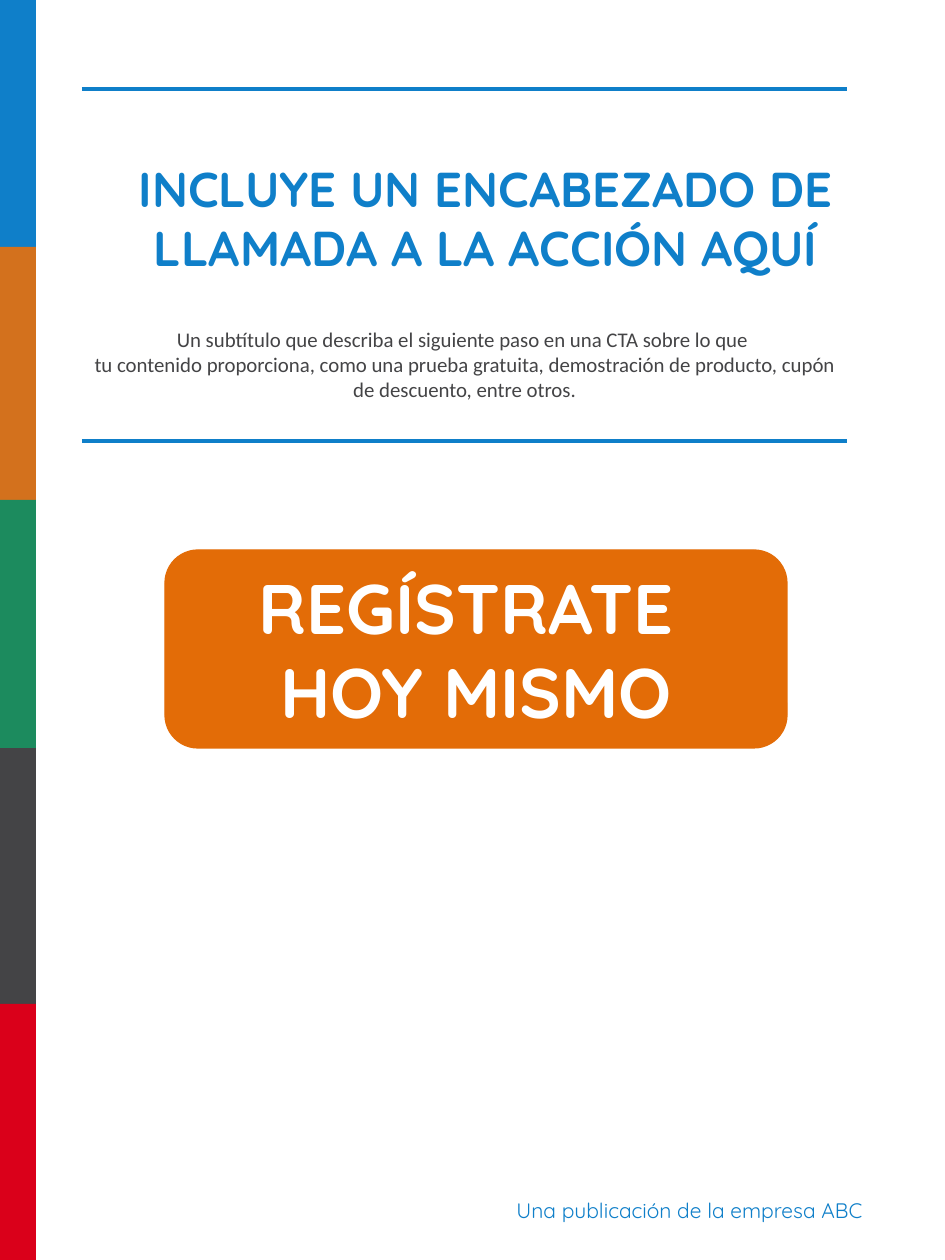
from dataclasses import dataclass
from itertools import pairwise

from lxml.etree import SubElement
from pptx import Presentation
from pptx.dml.color import RGBColor
from pptx.enum.shapes import MSO_CONNECTOR as Connector
from pptx.enum.shapes import MSO_SHAPE as Preset
from pptx.enum.text import MSO_ANCHOR as Anchor
from pptx.enum.text import MSO_AUTO_SIZE as AutoSize
from pptx.enum.text import PP_ALIGN as Align
from pptx.oxml.ns import qn
from pptx.shapes.autoshape import Shape
from pptx.slide import Slide
from pptx.util import Emu, Inches, Pt

PX_PER_INCH = 126
BLUE = "0F7FC9"
ORANGE = "E36C07"
GRAY = "444446"
WHITE = "FFFFFF"

STRIP_WIDTH = 36
STRIP_EDGES = (0, 247, 500, 748, 1004, 1260)
STRIP_COLORS = (BLUE, "D3711D", "1C8B5E", GRAY, "DA001A")
RULE_LEFT, RULE_RIGHT = 82, 847
RULE_TOPS = (89, 441)


@dataclass(frozen=True)
class Box:
    left: int
    top: int
    width: int
    height: int


@dataclass(frozen=True)
class Copy:
    lines: tuple[str, ...]
    size: float
    font: str
    color: str
    bold: bool = False
    align: Align = Align.CENTER
    anchor: Anchor = Anchor.MIDDLE
    wrap: bool = True


def px(length: int) -> Emu:
    return Emu(round(length * Inches(1) / PX_PER_INCH))


def rgb(color: str) -> RGBColor:
    return RGBColor.from_string(color)


def place(box: Box) -> tuple[Emu, Emu, Emu, Emu]:
    return px(box.left), px(box.top), px(box.width), px(box.height)


def write(shape: Shape, copy: Copy) -> None:
    frame = shape.text_frame
    frame.word_wrap = copy.wrap
    frame.auto_size = AutoSize.NONE if copy.wrap else AutoSize.SHAPE_TO_FIT_TEXT
    frame.vertical_anchor = copy.anchor
    paragraph = frame.paragraphs[0]
    paragraph.alignment = copy.align
    for index, line in enumerate(copy.lines):
        if index:
            paragraph.add_line_break()
        run = paragraph.add_run()
        run.text = line
        run.font.size = Pt(copy.size)
        run.font.name = copy.font
        run.font.bold = copy.bold
        run.font.color.rgb = rgb(copy.color)


def add_block(slide: Slide, preset: Preset, box: Box, color: str) -> Shape:
    block = slide.shapes.add_shape(preset, *place(box))
    block.shadow.inherit = False
    block.fill.solid()
    block.fill.fore_color.rgb = rgb(color)
    block.line.fill.background()
    return block


def add_rule(slide: Slide, top: int) -> None:
    rule = slide.shapes.add_connector(
        Connector.STRAIGHT, px(RULE_LEFT), px(top), px(RULE_RIGHT), px(top)
    )
    rule.line.color.rgb = rgb(BLUE)
    rule.line.width = Pt(2)
    SubElement(rule.element.spPr, qn("a:effectLst"))


def add_copy(slide: Slide, box: Box, copy: Copy) -> None:
    write(slide.shapes.add_textbox(*place(box)), copy)


def main() -> None:
    presentation = Presentation()
    presentation.slide_width = px(945)
    presentation.slide_height = px(1260)
    slide = presentation.slides.add_slide(presentation.slide_layouts[5])

    for (top, bottom), color in zip(pairwise(STRIP_EDGES), STRIP_COLORS):
        add_block(slide, Preset.RECTANGLE, Box(0, top, STRIP_WIDTH, bottom - top), color)
    for top in RULE_TOPS:
        add_rule(slide, top)

    heading = slide.shapes.title
    heading.left, heading.top, heading.width, heading.height = place(Box(103, 136, 765, 163))
    write(
        heading,
        Copy(("INCLUYE UN ENCABEZADO DE LLAMADA A LA ACCIÓN AQUÍ",), 28, "Quicksand", BLUE, bold=True),
    )

    subtitle = (
        "Un subtítulo que describa el siguiente paso en una CTA sobre lo que ",
        "tu contenido proporciona, como una prueba gratuita, demostración de producto, "
        "cupón de descuento, entre otros.",
    )
    add_copy(slide, Box(82, 318, 765, 92), Copy(subtitle, 11.9, "Calibri", GRAY))

    button = add_block(slide, Preset.ROUNDED_RECTANGLE, Box(165, 550, 622, 198), ORANGE)
    button.line.color.rgb = rgb(ORANGE)
    button.line.width = Pt(0.75)
    write(button, Copy(("REGÍSTRATE ", "HOY MISMO"), 40, "Quicksand", WHITE, bold=True))

    add_copy(
        slide,
        Box(504, 1191, 374, 38),
        Copy(
            ("Una publicación de la empresa ABC",), 12, "Quicksand", BLUE,
            align=Align.LEFT, anchor=Anchor.TOP, wrap=False,
        ),
    )

    presentation.save("out.pptx")


if __name__ == "__main__":
    main()
